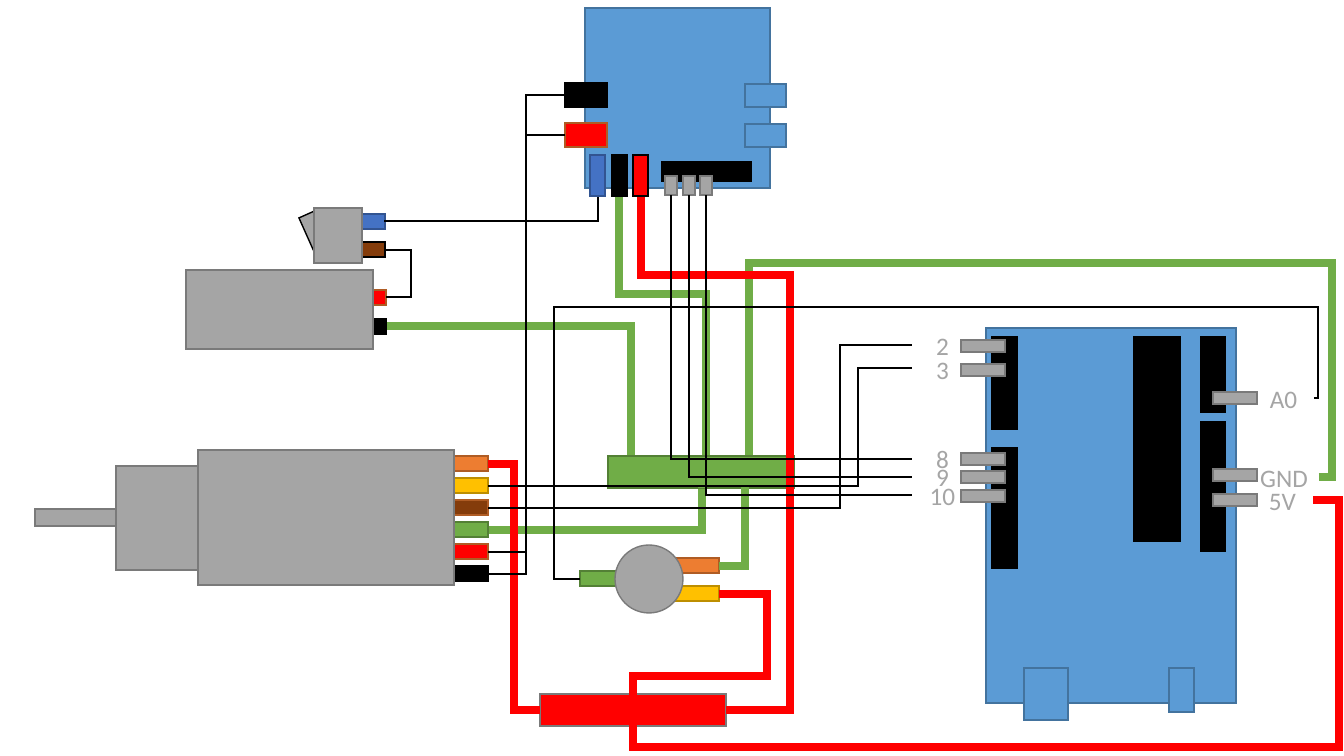
from dataclasses import dataclass

from lxml import etree
from pptx import Presentation
from pptx.dml.color import RGBColor
from pptx.enum.shapes import MSO_CONNECTOR, MSO_SHAPE
from pptx.enum.text import MSO_ANCHOR, PP_ALIGN
from pptx.oxml.ns import qn
from pptx.util import Emu, Pt

PIXEL = 914400 / 100.8
RECTANGLE, OVAL = MSO_SHAPE.RECTANGLE, MSO_SHAPE.OVAL
ELBOW = MSO_CONNECTOR.ELBOW
MIDDLE, CENTER = MSO_ANCHOR.MIDDLE, PP_ALIGN.CENTER

BLACK, RED, BROWN = "000000", "FF0000", "843C0B"
GREEN, DARK_GREEN = "70AD47", "538035"
ORANGE, DARK_ORANGE = "ED7D31", "AF5C24"
YELLOW, DARK_YELLOW = "FFC000", "BD8E00"
GRAY, DARK_GRAY = "A5A5A5", "7A7A7A"
BOARD, BOARD_EDGE = "5B9BD5", "43739E"
BLUE, DARK_BLUE = "4472C4", "325491"
THICK, THIN, OUTLINE = 6, 1.5, 1


@dataclass
class Part:
    left: int
    top: int
    width: int
    height: int
    fill: str
    edge: str
    preset: MSO_SHAPE = RECTANGLE
    rotation: float = 0


@dataclass
class Label:
    text: str
    left: int
    top: int
    width: int = 61


@dataclass
class Wire:
    color: str
    weight: float
    points: list[tuple[int, int]]


def px(value: float) -> Emu:
    return Emu(round(value * PIXEL))


def rgb(color: str) -> RGBColor:
    return RGBColor.from_string(color)


def style_line(shape, color: str, weight: float) -> None:
    shape.line.color.rgb = rgb(color)
    shape.line.width = Pt(weight)
    outline = shape.element.spPr.get_or_add_ln()
    etree.SubElement(outline, qn("a:miter"), lim="800000")


def draw_part(part: Part) -> None:
    box = map(px, (part.left, part.top, part.width, part.height))
    shape = slide.shapes.add_shape(part.preset, *box)
    shape.shadow.inherit = False
    shape.rotation = part.rotation
    shape.fill.solid()
    shape.fill.fore_color.rgb = rgb(part.fill)
    style_line(shape, part.edge, OUTLINE)


def draw_label(label: Label) -> None:
    box = map(px, (label.left, label.top, label.width, 23))
    frame = slide.shapes.add_textbox(*box).text_frame
    paragraph = frame.paragraphs[0]
    paragraph.text = label.text
    formats = {
        frame: {"word_wrap": True, "vertical_anchor": MIDDLE},
        paragraph: {"alignment": CENTER},
        paragraph.font: {"name": "Calibri", "size": Pt(18)},
    }
    for target, values in formats.items():
        for name, value in values.items():
            setattr(target, name, value)
    paragraph.font.color.rgb = rgb(GRAY)


def draw_wire(wire: Wire) -> None:
    start, end = wire.points[0], wire.points[-1]
    delta = (end[0] - start[0], end[1] - start[1])
    vertical = wire.points[1][0] == start[0]
    connector = slide.shapes.add_connector(ELBOW, *map(px, (*start, *end)))
    if vertical:
        width, height = abs(delta[1]), abs(delta[0])
        frame = {
            "left": (start[0] + end[0] - width) / 2,
            "top": (start[1] + end[1] - height) / 2,
            "width": width,
            "height": height,
        }
        for name, value in frame.items():
            setattr(connector, name, px(value))
        transform = connector.element.spPr.find(qn("a:xfrm"))
        transform.set("rot", "5400000")
        transform.set("flipH", str(int(delta[1] < 0)))
        transform.set("flipV", str(int(delta[0] > 0)))
    segments = len(wire.points) - 1
    geometry = connector.element.spPr.find(qn("a:prstGeom"))
    geometry.set("prst", f"bentConnector{segments}")
    guides = geometry.find(qn("a:avLst"))
    for index, point in enumerate(wire.points[1:segments - 1], 1):
        axis = (index - 1 + vertical) % 2
        ratio = round((point[axis] - start[axis]) / delta[axis] * 100000)
        name = "adj" if segments == 3 else f"adj{index}"
        if segments == 3:
            name = "adj1"
        etree.SubElement(guides, qn("a:gd"), name=name, fmla=f"val {ratio}")
    style_line(connector, wire.color, wire.weight)
    etree.SubElement(connector.element.spPr, qn("a:effectLst"))


ground_wires = [
    Wire(GREEN, THICK, [(386, 326), (631, 326), (631, 472), (608, 472)]),
    Wire(GREEN, THICK, [(488, 530), (702, 530), (702, 488)]),
    Wire(GREEN, THICK, [(619, 197), (619, 294), (706, 294), (706, 467), (702, 467), (702, 488)]),
    Wire(GREEN, THICK, [(1319, 477), (1332, 477), (1332, 263), (749, 263), (749, 472), (794, 472)]),
]
potentiometer = [
    Part(580, 571, 44, 15, GREEN, DARK_GREEN),
    Part(675, 558, 44, 15, ORANGE, DARK_ORANGE),
    Part(675, 586, 44, 15, YELLOW, DARK_YELLOW),
    Part(615, 545, 68, 68, GRAY, DARK_GRAY, OVAL),
]
sockets = [(992, 337, 25, 92), (992, 448, 25, 120), (1201, 337, 24, 75),
           (1201, 422, 24, 129), (1134, 337, 46, 204)]
ports = [(1024, 668, 44, 52), (1169, 668, 25, 44)]
pins = [(961, top) for top in (340, 364, 453, 471, 490)]
pins += [(1213, top) for top in (494, 469, 392)]
controller = [Part(986, 328, 250, 375, BOARD, BOARD_EDGE)]
controller += [Part(*socket, BLACK, BLACK) for socket in sockets]
controller += [Part(*port, BOARD, BOARD_EDGE) for port in ports]
controller += [Part(*pin, 44, 12, GRAY, DARK_GRAY) for pin in pins]

pin_labels = [Label(text, 912, top - 6) for text, (_, top) in zip(("2", "3", "8", "9", "10"), pins)]
pin_labels += [Label("A0", 1253, 387), Label("GND", 1248, 466, 72), Label("5V", 1252, 489)]

battery_and_switch = [
    Part(342, 319, 44, 15, BLACK, BLACK),
    Part(342, 290, 44, 15, RED, DARK_ORANGE),
    Part(186, 270, 187, 79, GRAY, DARK_GRAY),
    Part(306, 213, 16, 38, GRAY, BLACK, rotation=335.9),
    Part(341, 242, 44, 15, BROWN, BLACK),
    Part(341, 214, 44, 15, BLUE, DARK_BLUE),
    Part(314, 208, 48, 55, GRAY, DARK_GRAY),
]
lead_colors = [(ORANGE, DARK_ORANGE), (YELLOW, DARK_YELLOW), (BROWN, DARK_ORANGE),
               (GREEN, DARK_GREEN), (RED, DARK_ORANGE), (BLACK, BLACK)]
motor = [Part(412, 456 + 22 * row, 76, 15, *colors) for row, colors in enumerate(lead_colors)]
motor += [Part(*body, GRAY, DARK_GRAY) for body in
          [(35, 509, 197, 17), (116, 466, 197, 104), (198, 450, 256, 135)]]

switch_wires = [
    Wire(BLACK, THIN, [(386, 297), (411, 297), (411, 250), (384, 250)]),
    Wire(BLACK, THIN, [(598, 197), (598, 221), (384, 221)]),
]
driver = [
    Part(585, 8, 185, 180, BOARD, BOARD_EDGE),
    Part(565, 123, 42, 24, RED, DARK_ORANGE),
    Part(565, 83, 42, 24, BLACK, BLACK),
    Part(612, 155, 15, 41, BLACK, BLACK),
    Part(590, 155, 15, 41, BLUE, DARK_BLUE),
    Part(633, 155, 15, 41, RED, BLACK),
    Part(745, 124, 41, 23, BOARD, BOARD_EDGE),
    Part(745, 84, 41, 23, BOARD, BOARD_EDGE),
    Part(662, 162, 89, 19, BLACK, BLACK),
]
driver += [Part(left, 176, 12, 19, GRAY, DARK_GRAY) for left in (700, 683, 665)]
power_rails = [
    Part(540, 694, 186, 32, RED, DARK_GRAY),
    Part(608, 456, 186, 32, GREEN, DARK_GREEN),
]
front_wires = [
    Wire(GREEN, THICK, [(719, 566), (745, 566), (745, 475), (702, 475), (702, 488)]),
    Wire(RED, THICK, [(633, 727), (633, 676), (767, 676), (767, 594), (719, 594)]),
    Wire(RED, THICK, [(633, 727), (633, 747), (1339, 747), (1339, 500), (1313, 500)]),
    Wire(RED, THICK, [(540, 710), (514, 710), (514, 464), (488, 464)]),
    Wire(RED, THICK, [(726, 710), (790, 710), (790, 275), (641, 275), (641, 197)]),
    Wire(BLACK, THIN, [(565, 95), (526, 95), (526, 574), (488, 574)]),
    Wire(BLACK, THIN, [(565, 135), (526, 135), (526, 552), (488, 552)]),
    Wire(BLACK, THIN, [(912, 368), (858, 368), (858, 486), (488, 486)]),
    Wire(BLACK, THIN, [(912, 345), (840, 345), (840, 508), (488, 508)]),
    Wire(BLACK, THIN, [(1314, 398), (1318, 398), (1318, 307), (554, 307), (554, 579), (580, 579)]),
]
front_wires += [Wire(BLACK, THIN, [(912, y), (x, y), (x, 195)])
                for x, y in ((671, 459), (689, 477), (706, 495))]

presentation = Presentation()
presentation.slide_width, presentation.slide_height = px(1344), px(756)
slide = presentation.slides.add_slide(presentation.slide_layouts[6])

drawers = {Part: draw_part, Label: draw_label, Wire: draw_wire}
for layer in (ground_wires, potentiometer, controller, pin_labels, battery_and_switch,
              motor, switch_wires, driver, power_rails, front_wires):
    for item in layer:
        drawers[type(item)](item)

presentation.save("out.pptx")
